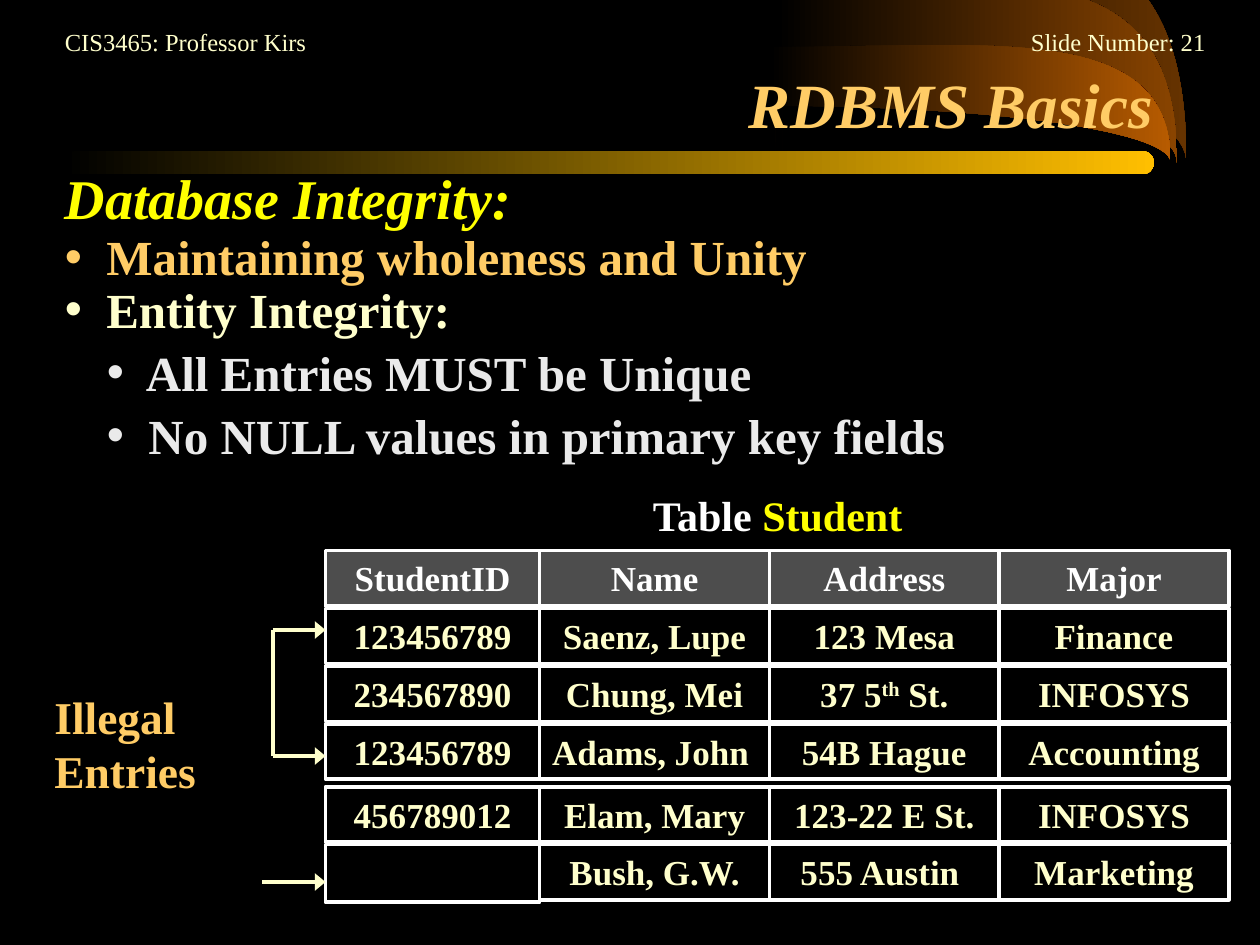
from dataclasses import dataclass
from itertools import accumulate

from lxml import etree
from pptx import Presentation
from pptx.dml.color import RGBColor
from pptx.enum.shapes import MSO_CONNECTOR, MSO_SHAPE
from pptx.enum.text import MSO_ANCHOR, PP_ALIGN
from pptx.oxml.ns import qn
from pptx.util import Inches, Pt

RECTANGLE = MSO_SHAPE.RECTANGLE
ROUNDED = MSO_SHAPE.ROUNDED_RECTANGLE
STRAIGHT = MSO_CONNECTOR.STRAIGHT
TOP, BOTTOM = MSO_ANCHOR.TOP, MSO_ANCHOR.BOTTOM
LEFT, CENTER, RIGHT = PP_ALIGN.LEFT, PP_ALIGN.CENTER, PP_ALIGN.RIGHT

COLUMNS, ROWS = 120, 90


@dataclass(frozen=True)
class Theme:
    font: str = "Times New Roman"
    bullet_font: str = "Arial"
    black: str = "000000"
    white: str = "FFFFFF"
    cream: str = "FFFFCC"
    orange: str = "FFCC66"
    yellow: str = "FFFF00"
    silver: str = "EAEAEA"
    header: str = "4D4D4D"
    gold: str = "FFBF00"
    sweeps: tuple = ("663300", "894400", "B75B00")
    note_size: int = 14
    cell_size: int = 20
    caption_size: int = 24
    label_size: int = 26
    bullet_size: int = 28
    heading_size: int = 32
    title_size: int = 36
    line_width: int = 2


THEME = Theme()

STUDENTS = [
    ["StudentID", "Name", "Address", "Major"],
    ["123456789", "Saenz, Lupe", "123 Mesa", "Finance"],
    ["234567890", "Chung, Mei", [("37 5", {}), ("th", {"raised": True}), (" St.", {})], "INFOSYS"],
    ["123456789", "Adams, John", "54B Hague", "Accounting"],
    ["456789012", "Elam, Mary", "123-22 E St.", "INFOSYS"],
    ["", "Bush, G.W.", "555 Austin ", "Marketing"],
]


def grid(*units):
    return [Inches(unit / 12) for unit in units]


def rgb(value):
    return RGBColor.from_string(value)


def write(shape, text, size, color, bold=True, italic=False, align=LEFT, anchor=TOP, indent=0):
    frame = shape.text_frame
    frame.word_wrap = True
    frame.vertical_anchor = anchor
    paragraph = frame.paragraphs[0]
    paragraph.alignment = align
    if indent:
        add_bullet(paragraph, Inches(indent))
    for content, changes in [(text, {})] if isinstance(text, str) else text:
        run = paragraph.add_run()
        run.text = content
        run.font.name = THEME.font
        run.font.size = Pt(size)
        run.font.bold = bold
        run.font.italic = italic
        run.font.color.rgb = rgb(changes.get("color", color))
        if changes.get("raised"):
            run._r.get_or_add_rPr().set("baseline", "30000")


def add_bullet(paragraph, indent):
    properties = paragraph._p.get_or_add_pPr()
    properties.set("marL", str(indent))
    properties.set("indent", str(-indent))
    etree.SubElement(properties, qn("a:buFont")).set("typeface", THEME.bullet_font)
    etree.SubElement(properties, qn("a:buChar")).set("char", "•")


def add_text(slide, box, text, size, color, **style):
    write(slide.shapes.add_textbox(*grid(*box)), text, size, color, **style)


def fade(shape, color):
    shape.shadow.inherit = False
    shape.line.fill.background()
    shape.fill.gradient()
    shape.fill.gradient_angle = 0
    for stop, position, value in zip(shape.fill.gradient_stops, (0, 1), (THEME.black, color)):
        stop.position = position
        stop.color.rgb = rgb(value)


def redraw(shape, steps):
    path = shape._element.find(".//" + qn("a:path"))
    for child in list(path):
        path.remove(child)
    for name, points in steps:
        step = etree.SubElement(path, qn("a:" + name))
        for x, y in points:
            point = etree.SubElement(step, qn("a:pt"))
            for axis, value in zip("xy", grid(x, y)):
                point.set(axis, str(value))
    etree.SubElement(path, qn("a:close"))


def add_sweep(slide, right, middle, color):
    height = 15.48 - middle
    width, arm, start = 38.16, 21.36, 0.6
    left, bottom = right - width, middle + 2 * height
    builder = slide.shapes.build_freeform(*grid(left, middle))
    builder.add_line_segments([grid(right, middle), grid(right, bottom), grid(left, bottom)])
    sweep = builder.convert_to_shape()
    top = -1.05 * height
    redraw(sweep, [
        ("moveTo", [(start, 0)]),
        ("cubicBezTo", [(arm, 0), (width, 0.45 * height), (width, height)]),
        ("cubicBezTo", [(width, -1.5 * height), (arm, top), (start, top)]),
        ("lnTo", [(0, top)]),
        ("lnTo", [(start, height)]),
    ])
    fade(sweep, color)


def add_bar(slide):
    bar = slide.shapes.add_shape(ROUNDED, *grid(6, 14.4, 103.9, 2.2))
    bar.adjustments[0] = 0.5
    fade(bar, THEME.gold)


def add_cell(slide, box, text, is_header, align):
    cell = slide.shapes.add_shape(RECTANGLE, *grid(*box))
    cell.shadow.inherit = False
    cell.line.color.rgb = rgb(THEME.white)
    cell.line.width = Pt(THEME.line_width)
    if is_header:
        cell.fill.solid()
        cell.fill.fore_color.rgb = rgb(THEME.header)
    else:
        cell.fill.background()
    if text:
        write(cell, text, THEME.cell_size, THEME.white if is_header else THEME.cream, align=align)


def add_students(slide):
    widths = (20.4, 21.88, 21.88, 21.88)
    lefts = list(accumulate(widths[:-1], initial=31))
    for row, values in enumerate(STUDENTS):
        top = 52.44 + 5.5 * row + (0.5 if row > 3 else 0)
        for left, width, text in zip(lefts, widths, values):
            align = LEFT if text == "Adams, John" else CENTER
            height = 5.28 if text else 5.5
            add_cell(slide, (left, top, width, height), text, row == 0, align)


def add_line(slide, start, end, arrow=True):
    line = slide.shapes.add_connector(STRAIGHT, *grid(*start, *end))
    line.line.color.rgb = rgb(THEME.cream)
    line.line.width = Pt(THEME.line_width)
    if arrow:
        head = etree.SubElement(line.line._get_or_add_ln(), qn("a:tailEnd"))
        head.set("type", "triangle")
        head.set("w", "lg")
    etree.SubElement(line._element.spPr, qn("a:effectLst"))


def main():
    presentation = Presentation()
    presentation.slide_width, presentation.slide_height = grid(COLUMNS, ROWS)
    slide = presentation.slides.add_slide(presentation.slide_layouts[6])
    slide.background.fill.solid()
    slide.background.fill.fore_color.rgb = rgb(THEME.black)

    for right, middle, color in zip((113, 112.1, 111.5), (5, 7.2, 10.1), THEME.sweeps):
        add_sweep(slide, right, middle, color)
    add_bar(slide)

    for left, text, align in ((5, "CIS3465: Professor Kirs", LEFT), (84, "Slide Number: 21", RIGHT)):
        add_text(slide, (left, 2, 32, 4), text, THEME.note_size, THEME.cream, bold=False, align=align)
    add_text(slide, (9, 5, 102, 9), "RDBMS Basics", THEME.title_size, THEME.orange,
             italic=True, align=RIGHT, anchor=BOTTOM)
    add_text(slide, (5, 15, 63, 7.7), "Database Integrity:", THEME.heading_size, THEME.yellow, italic=True)

    bullets = (
        (5, 21, 0.33, "Maintaining wholeness and Unity", THEME.orange),
        (5, 26, 0.33, "Entity Integrity:", THEME.cream),
        (9, 32, 0.31, "All Entries MUST be Unique", THEME.silver),
        (9, 38, 0.33, "No NULL values in primary key fields", THEME.silver),
    )
    for left, top, indent, text, color in bullets:
        add_text(slide, (left, top, COLUMNS - left, 6.8), text, THEME.bullet_size, color, indent=indent)

    add_students(slide)
    add_text(slide, (61, 46, 30.4, 6), [("Table ", {}), ("Student", {"color": THEME.yellow})],
             THEME.caption_size, THEME.white)

    add_line(slide, (26, 60), (26, 72), arrow=False)
    for left, top in ((26, 60), (26, 72), (25, 84)):
        add_line(slide, (left, top), (31, top))
    add_text(slide, (4, 65, 18, 11.6), "Illegal Entries", THEME.label_size, THEME.orange)

    presentation.save("out.pptx")


if __name__ == "__main__":
    main()
